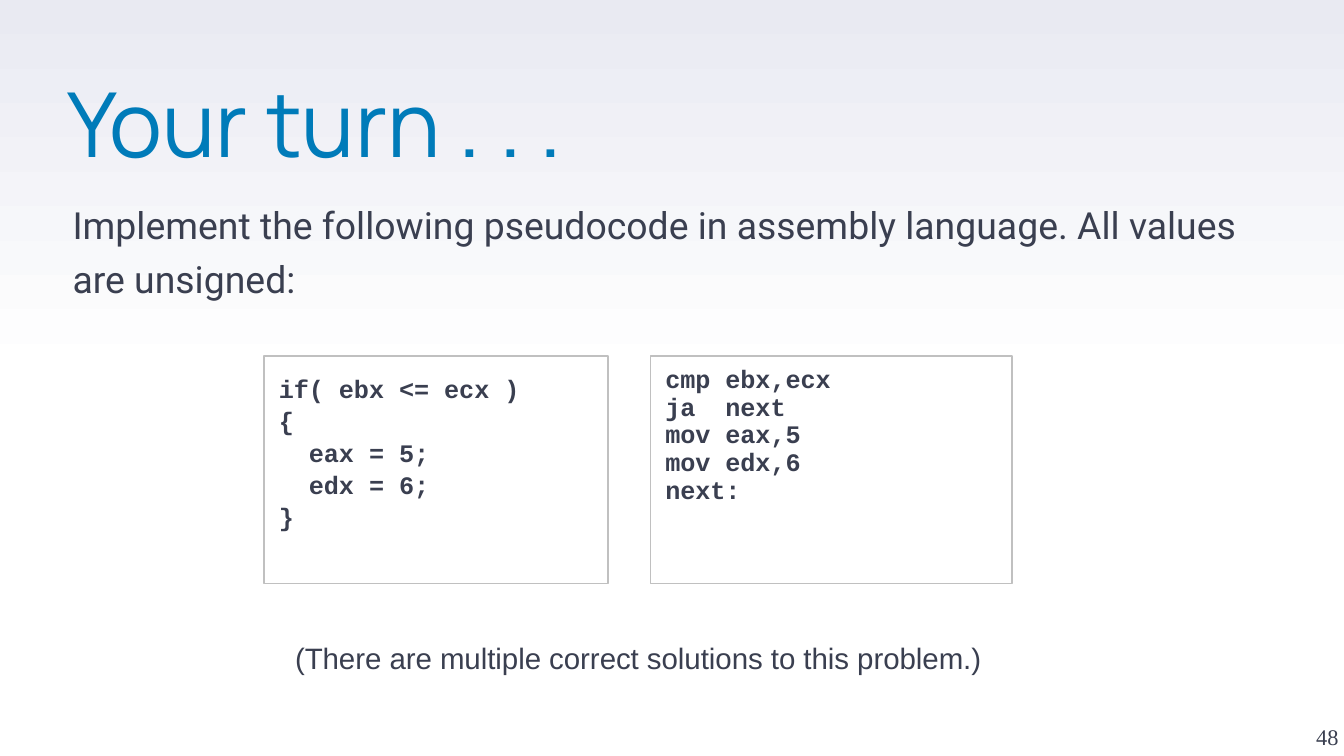
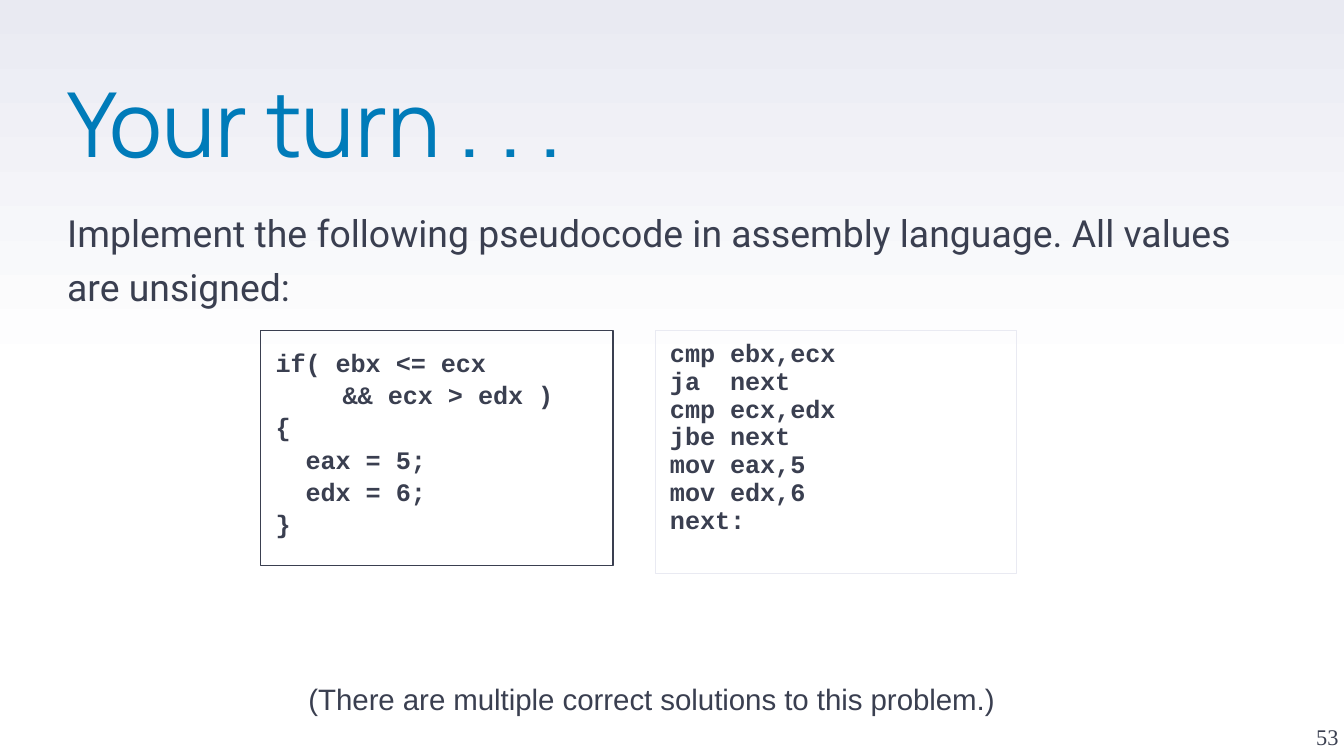
import pptx
import pptx.dml.color
import pptx.enum.shapes
import pptx.enum.text
import pptx.oxml.ns
import pptx.util
from lxml import etree

RGB = pptx.dml.color.RGBColor
BLUE = RGB(0x00, 0x7B, 0xB9)
INK = RGB(0x3A, 0x3F, 0x50)
MIST = RGB(0xE9, 0xEA, 0xF2)
GREY = RGB(0xC0, 0xC0, 0xC0)
WHITE = RGB(0xFF, 0xFF, 0xFF)

COLS, ROWS = 100, 56.25
ALIGN = pptx.enum.text.PP_ALIGN
ANCHOR = pptx.enum.text.MSO_ANCHOR
TASK = ("Implement the following pseudocode in assembly language. "
        "All values are unsigned:")
NOTE = "(There are multiple correct solutions to this problem.)"


class Deck:
    """Holds the style and the current slide; places are (col, row, cols, rows)."""

    def __init__(self):
        self.prs = pptx.Presentation()
        self.prs.slide_width = pptx.util.Inches(10)
        self.prs.slide_height = self.prs.slide_width * 9 // 16
        self.slide = None

    def grid(self, place):
        col = self.prs.slide_width / COLS
        row = self.prs.slide_height / ROWS
        return [round(n * unit) for n, unit in zip(place, (col, row, col, row))]

    def page(self, number):
        """Start a slide with the shared background, title and page number."""
        self.slide = self.prs.slides.add_slide(self.prs.slide_layouts[6])
        fill = self.slide.background.fill
        fill.gradient()
        fill.gradient_angle = 90
        for stop, (spot, color) in zip(fill.gradient_stops,
                                       ((0.5, WHITE), (1, MIST))):
            stop.position = spot
            stop.color.rgb = color
        frame = self.box((5, 6.6, 89.6, 11.8))
        self.line(frame, "Your turn . . .", "Manrope", 48, BLUE, 0.8)
        frame = self.box((94.6, 50.7, 5, 5.1))
        frame.vertical_anchor = ANCHOR.BOTTOM
        self.line(frame, str(number), "Times New Roman", 12).alignment = ALIGN.RIGHT

    def box(self, place, side=0, top=0):
        shape = self.slide.shapes.add_textbox(*self.grid(place))
        return self.inset(shape.text_frame, side, top)

    def inset(self, frame, side, top):
        frame.word_wrap = True
        frame.margin_left = frame.margin_right = pptx.util.Inches(side)
        frame.margin_top = frame.margin_bottom = pptx.util.Inches(top)
        return frame

    def line(self, frame, text, font, size, color=INK, pitch=None, bold=False):
        """Write the next paragraph of a frame."""
        para = frame.paragraphs[0]
        if para.runs:
            para = frame.add_paragraph()
        para.line_spacing = pitch
        run = para.add_run()
        run.text = text
        run.font.name = font
        run.font.size = pptx.util.Pt(size)
        run.font.color.rgb = color
        run.font.bold = bold
        return para

    def lead(self, para, share):
        """Set the space before a paragraph as a percentage of its line."""
        para.space_before = pptx.util.Pt(0)
        name = pptx.oxml.ns.qn
        gap = para._p.pPr.find(name("a:spcBef"))
        gap.clear()
        etree.SubElement(gap, name("a:spcPct")).set("val", str(share * 1000))

    def task(self, col, row):
        frame = self.box((col, row, 89.6, 29.3))
        para = self.line(frame, TASK, "Roboto", 20, pitch=1.2)
        para.space_before = pptx.util.Pt(6)

    def code(self, place, edge, lines, pitch, share):
        """Draw a framed listing; a line that starts with a tab is indented."""
        kind = pptx.enum.shapes.MSO_SHAPE.RECTANGLE
        shape = self.slide.shapes.add_shape(kind, *self.grid(place))
        shape.shadow.inherit = False
        shape.fill.background()
        shape.line.color.rgb = edge
        shape.line.width = pptx.util.Pt(0.75)
        frame = self.inset(shape.text_frame, 0.11, 0.15)
        frame.vertical_anchor = ANCHOR.TOP
        for text in lines:
            para = self.line(frame, text.lstrip("\t"), "Courier New", 13.5,
                             pitch=pitch, bold=True)
            para.alignment = ALIGN.LEFT
            self.lead(para, share)
            if text.startswith("\t"):
                para._p.pPr.set("marL", str(pptx.util.Inches(0.5)))

    def pseudo(self, place, edge, lines):
        self.code(place, edge, lines, 0.9, 20)

    def asm(self, place, edge, lines):
        self.code(place, edge, lines, 0.5, 50)

    def note(self, col, row):
        frame = self.box((col, row, 59.4, 4.9), 0.1, 0.11)
        frame.auto_size = pptx.enum.text.MSO_AUTO_SIZE.SHAPE_TO_FIT_TEXT
        para = self.line(frame, NOTE, "Arial", 15.75)
        para.alignment = ALIGN.CENTER
        self.lead(para, 50)


def main():
    body = ["{", "  eax = 5;", "  edx = 6;", "}"]
    test = ["cmp ebx,ecx", "ja  next"]
    moves = ["mov eax,5", "mov edx,6", "next:"]

    deck = Deck()
    deck.page(48)
    deck.task(5.4, 14.4)
    deck.asm((48.4, 26.5, 26.9, 16.9), GREY, test + moves)
    deck.pseudo((19.65, 26.5, 25.6, 16.9), GREY, ["if( ebx <= ecx )"] + body)
    deck.note(17.8, 46.5)

    deck.page(53)
    deck.task(5, 15)
    deck.asm((48.75, 24.6, 26.9, 18.1), MIST,
             test + ["cmp ecx,edx", "jbe next"] + moves)
    deck.pseudo((19.4, 24.6, 26.2, 17.5), INK,
                ["if( ebx <= ecx", "\t&& ecx > edx )"] + body)
    deck.note(18.8, 49.6)

    deck.prs.save("out.pptx")


if __name__ == "__main__":
    main()
